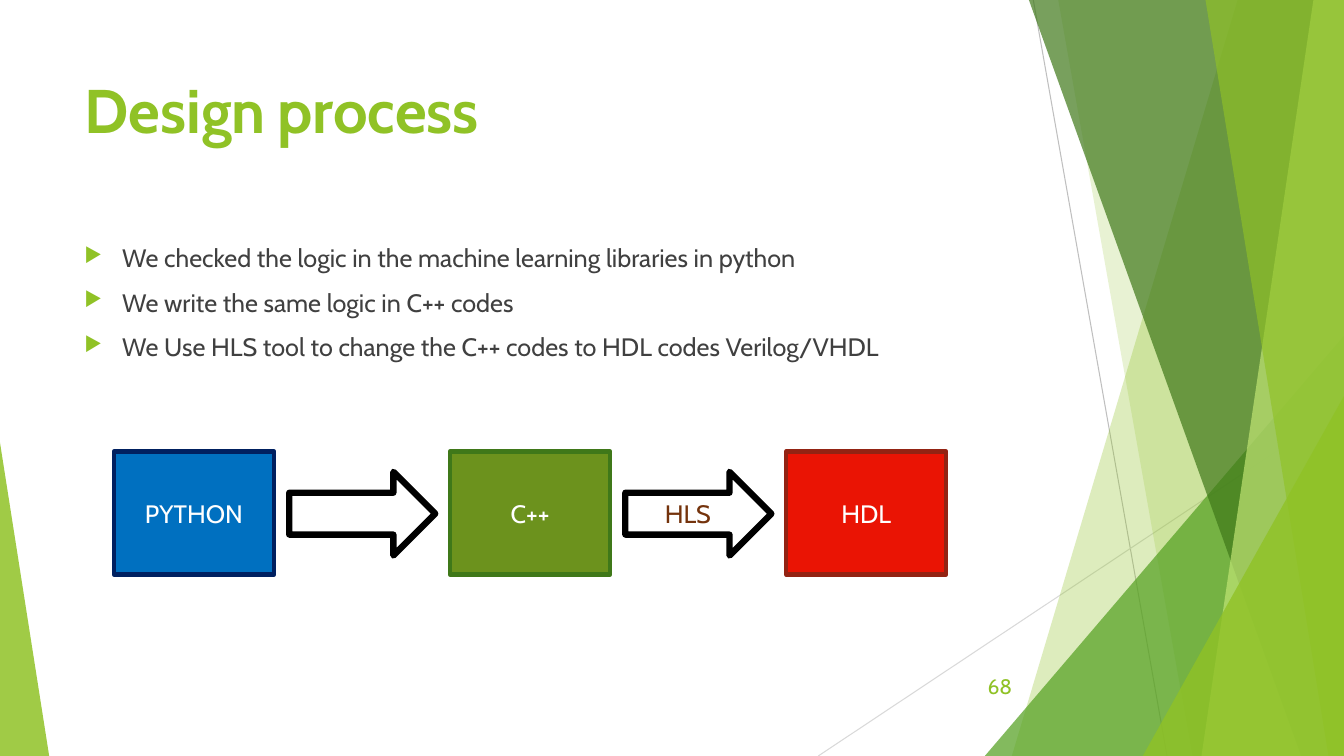
from lxml.etree import SubElement
from pptx import Presentation
from pptx.dml.color import RGBColor as RGB
from pptx.enum.shapes import MSO_CONNECTOR as CONN, MSO_SHAPE as SHAPE
from pptx.enum.text import MSO_ANCHOR as ANCHOR, PP_ALIGN as ALIGN
from pptx.oxml.ns import qn
from pptx.util import Cm, Pt

W, H = 33.87, 19.05
FONT = "Cabin"
C = {
    "lime": "90C226", "pale": "C0E474", "green": "54A021", "forest": "3F7819",
    "grey": "BFBFBF", "silver": "D9D9D9", "text": "404040",
    "white": "FFFFFF", "black": "000000", "brown": "74330C",
    "blue": "0070C0", "navy": "002060", "olive": "6C921D",
    "red": "EA1404", "maroon": "932313",
}


def rgb(name):
    return RGB.from_string(C[name])


def write(p, text, size=18, color="text", bold=False, align=ALIGN.LEFT):
    p.alignment = align
    r = p.add_run()
    r.text = text
    r.font.name = FONT
    r.font.size = Pt(size)
    r.font.bold = bold
    r.font.color.rgb = rgb(color)


class SlideBuilder:
    def __init__(self, slide):
        self.shapes = slide.shapes

    def line(self, x1, y1, x2, y2, color):
        s = self.shapes.add_connector(CONN.STRAIGHT, Cm(x1), Cm(y1), Cm(x2), Cm(y2))
        s.line.color.rgb = rgb(color)
        s.line.width = Pt(0.75)
        SubElement(s._element.spPr, qn("a:effectLst"))

    def paint(self, s, fill, alpha=100, line=None, width=3):
        s.shadow.inherit = False
        s.fill.solid()
        s.fill.fore_color.rgb = rgb(fill)
        if alpha < 100:
            clr = s._element.spPr.find(qn("a:solidFill"))[0]
            SubElement(clr, qn("a:alpha"), val=str(alpha * 1000))
        if line:
            s.line.color.rgb = rgb(line)
            s.line.width = Pt(width)
        else:
            s.line.fill.background()

    def band(self, x_top, x_bottom, color, alpha):
        """Full-height band from a slanted left side to the slide's right edge."""
        fb = self.shapes.build_freeform(Cm(x_top), 0)
        fb.add_line_segments([(Cm(W), 0), (Cm(W), Cm(H)), (Cm(x_bottom), Cm(H))])
        self.paint(fb.convert_to_shape(), color, alpha)

    def triangle(self, x, y, w, apex, color, alpha):
        """Triangle standing on the slide's bottom edge."""
        s = self.shapes.add_shape(SHAPE.ISOSCELES_TRIANGLE, Cm(x), Cm(y), Cm(w), Cm(H - y))
        s.adjustments[0] = apex
        self.paint(s, color, alpha)

    def text_box(self, x, y, w, h, anchor=ANCHOR.TOP):
        tf = self.shapes.add_textbox(Cm(x), Cm(y), Cm(w), Cm(h)).text_frame
        tf.word_wrap = True
        tf.vertical_anchor = anchor
        return tf

    def bullets(self, tf, items):
        for i, item in enumerate(items):
            p = tf.paragraphs[0] if i == 0 else tf.add_paragraph()
            pPr = p._p.get_or_add_pPr()
            pPr.set("marL", str(Cm(0.95)))
            pPr.set("indent", str(Cm(-0.95)))
            clr = SubElement(pPr, qn("a:buClr"))
            SubElement(clr, qn("a:srgbClr"), val=C["lime"])
            SubElement(pPr, qn("a:buSzPct"), val="80000")
            SubElement(pPr, qn("a:buChar"), char="▶")
            p.space_before = Pt(10 if i else 0)
            write(p, item)

    def block(self, kind, x, y, w, h, text, color, fill, line, width):
        s = self.shapes.add_shape(kind, Cm(x), Cm(y), Cm(w), Cm(h))
        self.paint(s, fill, line=line, width=width)
        if text:
            s.text_frame.vertical_anchor = ANCHOR.MIDDLE
            write(s.text_frame.paragraphs[0], text, color=color, align=ALIGN.CENTER)


def main():
    prs = Presentation()
    prs.slide_width, prs.slide_height = Cm(W), Cm(H)
    sb = SlideBuilder(prs.slides.add_slide(prs.slide_layouts[6]))

    # Background facets, back to front
    sb.line(26.04, 0, 29.41, H, "grey")
    sb.line(W, 10.24, 20.62, H, "silver")
    sb.band(31.19, 25.5, "lime", 30)
    sb.band(26.67, 30.05, "lime", 20)
    sb.triangle(24.82, 8.46, 9.05, 1, "green", 72)
    sb.band(25.93, 32.79, "forest", 70)
    sb.band(33.1, 30.28, "pale", 70)
    sb.band(30.38, 33.48, "lime", 65)
    sb.triangle(28.8, 9.98, 5.07, 1, "lime", 80)
    sb.triangle(0, 11.15, 1.24, 0, "lime", 85)

    # Title
    p = sb.text_box(1.88, 1.7, 23.88, 3.66).paragraphs[0]
    write(p, "Design", size=44, color="lime", bold=True)
    write(p, " ", size=36, color="lime")
    write(p, "process", size=44, color="lime", bold=True)

    # Bullet list
    sb.bullets(sb.text_box(1.88, 5.99, 23.88, 4.5), [
        "We checked the logic in the machine learning libraries in python",
        "We write the same logic in C++ codes",
        "We Use HLS tool to change the C++ codes to HDL codes Verilog/VHDL",
    ])

    # Slide number
    tf = sb.text_box(23.85, 16.79, 1.91, 1.02, ANCHOR.MIDDLE)
    write(tf.paragraphs[0], "68", size=15, color="lime", align=ALIGN.RIGHT)

    # Flow: stages with arrows between them
    stages = [("PYTHON", "blue", "navy"), ("C++", "olive", "forest"), ("HDL", "red", "maroon")]
    arrows = ["", "HLS"]
    step = 8.47
    for i, (name, fill, line) in enumerate(stages):
        sb.block(SHAPE.RECTANGLE, 2.87 + i * step, 11.38, 4.04, 3.1,
                 name, "white", fill, line, 3)
    for i, name in enumerate(arrows):
        sb.block(SHAPE.RIGHT_ARROW, 7.29 + i * step, 11.89, 3.68, 2.11,
                 name, "brown", "white", "black", 4.5)

    prs.save("out.pptx")


if __name__ == "__main__":
    main()
